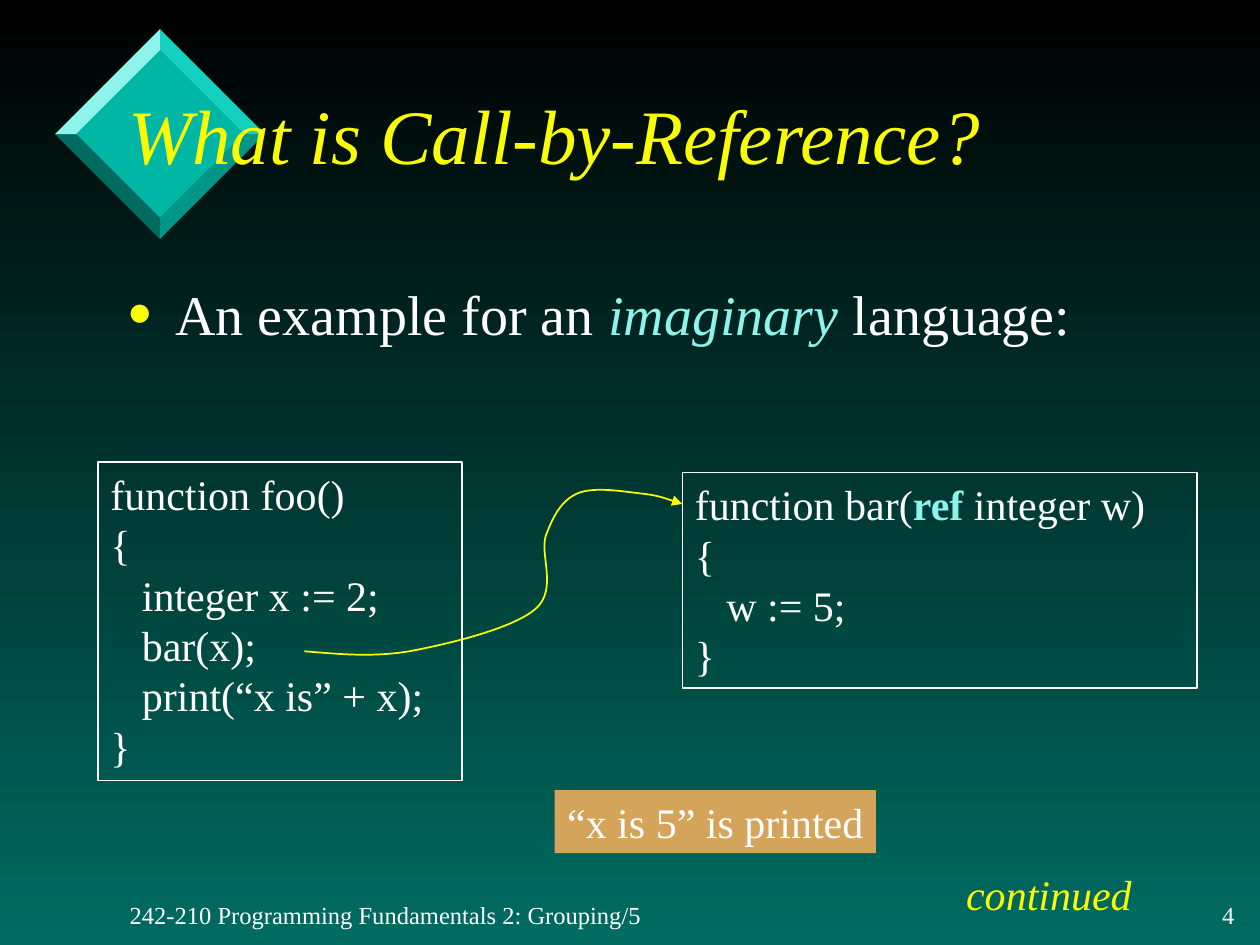
from pptx import Presentation
from pptx.dml.color import RGBColor
from pptx.enum.shapes import MSO_SHAPE
from pptx.enum.text import MSO_ANCHOR, MSO_AUTO_SIZE, PP_ALIGN
from pptx.oxml.ns import qn
from pptx.util import Pt
from lxml import etree

RECTANGLE = MSO_SHAPE.RECTANGLE
TOP, MIDDLE = MSO_ANCHOR.TOP, MSO_ANCHOR.MIDDLE
LEFT, RIGHT = PP_ALIGN.LEFT, PP_ALIGN.RIGHT
NO_AUTOFIT = MSO_AUTO_SIZE.NONE

BLACK = RGBColor(0x00, 0x00, 0x00)
WHITE = RGBColor(0xFF, 0xFF, 0xFF)
YELLOW = RGBColor(0xFA, 0xFD, 0x00)
AQUA = RGBColor(0x8C, 0xF4, 0xEA)
TURQUOISE = RGBColor(0x14, 0xD1, 0xBE)
TEAL = RGBColor(0x00, 0xB7, 0xA5)
SEA = RGBColor(0x00, 0x96, 0x88)
DEEP = RGBColor(0x00, 0x6B, 0x61)
SAND = RGBColor(0xD4, 0xA4, 0x5A)


def add_span(para, text, size=24, color=WHITE, bold=False, italic=False):
    span = para.add_run()
    span.text = text
    font = span.font
    font.name, font.size, font.bold, font.italic = "Times New Roman", Pt(size), bold, italic
    font.color.rgb = color


def set_frame(shape, anchor=TOP, wrap=True):
    """Fix the text frame's size behaviour and return its first paragraph, left aligned."""
    frame = shape.text_frame
    frame.auto_size = NO_AUTOFIT
    frame.vertical_anchor = anchor
    frame.word_wrap = wrap
    para = frame.paragraphs[0]
    para.alignment = LEFT
    return para


deck = Presentation()
deck.slide_width, deck.slide_height = Pt(720), Pt(540)
page = deck.slides.add_slide(deck.slide_layouts[1])
shapes = page.shapes

backdrop = page.background.fill
backdrop.gradient()
backdrop.gradient_angle = 270
for stop, color in zip(backdrop.gradient_stops, (BLACK, DEEP)):
    stop.color.rgb = color

# Bevelled diamond: a face and four edges between two concentric diamonds
center_x, center_y = 91.4, 76.6
directions = [(0, -1), (1, 0), (0, 1), (-1, 0)]
inner, outer = [
    [(center_x + dx * radius, center_y + dy * radius) for dx, dy in directions]
    for radius in (48, 60)
]
facets = [(inner, TEAL)]
for side, color in enumerate((TURQUOISE, SEA, DEEP, AQUA)):
    after = (side + 1) % 4
    facets.append(([inner[side], outer[side], outer[after], inner[after]], color))
for corners, color in facets:
    points = [(Pt(x), Pt(y)) for x, y in corners]
    builder = shapes.build_freeform(*points[0], scale=1.0)
    builder.add_line_segments(points[1:], close=True)
    facet = builder.convert_to_shape()
    facet.shadow.inherit = False
    facet.fill.solid()
    facet.fill.fore_color.rgb = color
    facet.line.fill.background()

# Title and bullet, moved in front of the diamond
title, body = shapes.title, page.placeholders[1]
for placeholder, place in ((title, (66, 33, 613, 87)), (body, (66, 156, 612, 54))):
    placeholder.left, placeholder.top, placeholder.width, placeholder.height = map(Pt, place)
    shapes._spTree.append(placeholder._element)
add_span(set_frame(title, MIDDLE), "What is Call-by-Reference?", size=44, color=YELLOW, italic=True)

para = set_frame(body)
add_span(para, "An example for an ", size=32)
add_span(para, "imaginary", size=32, color=AQUA, italic=True)
add_span(para, " language:", size=32)
properties = para._p.get_or_add_pPr()
properties.set("marL", str(Pt(27)))
properties.set("indent", str(Pt(-27)))
bullet_color = etree.SubElement(properties, qn("a:buClr"))
etree.SubElement(bullet_color, qn("a:srgbClr"), val=str(YELLOW))
etree.SubElement(properties, qn("a:buSzPct"), val="120000")
etree.SubElement(properties, qn("a:buChar"), char="•")

# Code boxes: each line is an indent level and its spans
code_boxes = [
    ((56, 264, 208, 182), [
        (0, [("function foo()", {})]),
        (0, [("{", {})]),
        (1, [("integer x := 2;", {})]),
        (1, [("bar(x);", {})]),
        (1, [("print(“x is” + x);", {})]),
        (0, [("}", {})]),
    ]),
    ((390, 270, 294, 123), [
        (0, [("function bar(", {}), ("ref", {"color": AQUA, "bold": True}), (" integer w)", {})]),
        (0, [("{", {})]),
        (1, [("w := 5;", {})]),
        (0, [("}", {})]),
    ]),
]
for place, lines in code_boxes:
    box = shapes.add_shape(RECTANGLE, *map(Pt, place))
    box.shadow.inherit = False
    box.fill.background()
    box.line.color.rgb = WHITE
    box.line.width = Pt(1)
    para = set_frame(box)
    for number, (level, spans) in enumerate(lines):
        if number:
            para = box.text_frame.add_paragraph()
            para.alignment = LEFT
        para._p.get_or_add_pPr().set("marL", str(Pt(18 * level)))
        for text, look in spans:
            add_span(para, text, **look)

result = shapes.add_shape(RECTANGLE, Pt(317), Pt(451.5), Pt(183.5), Pt(36))
result.shadow.inherit = False
result.fill.solid()
result.fill.fore_color.rgb = SAND
result.line.fill.background()
add_span(set_frame(result, wrap=False), "“x is 5” is printed")

labels = [
    ("continued", (545, 493, 109, 36), TOP, LEFT, {"color": YELLOW, "italic": True}),
    ("242-210 Programming Fundamentals 2: Grouping/5", (67, 510.5, 309, 24), MIDDLE, LEFT, {"size": 14}),
    ("4", (682.5, 510.5, 30, 24), MIDDLE, RIGHT, {"size": 14}),
]
for text, place, anchor, alignment, look in labels:
    label = shapes.add_textbox(*map(Pt, place))
    para = set_frame(label, anchor, wrap=False)
    para.alignment = alignment
    add_span(para, text, **look)

# Curved call arrow: a start, then three control points for each Bézier piece
call_points = [
    (174, 372.2),
    (193, 373.7), (211.7, 375.8), (234, 372.2),
    (256.3, 368), (293, 359.3), (306, 348),
    (319, 337), (308.2, 316.8), (312, 306),
    (316, 295.2), (321, 285.8), (330, 282),
    (339, 278), (355.7, 280.8), (366, 282),
    (375.8, 283), (382.9, 285.8), (390, 288),
]
points = [(Pt(x), Pt(y)) for x, y in call_points]
builder = shapes.build_freeform(*points[0], scale=1.0)
builder.add_line_segments(points[1:], close=False)
call_arrow = builder.convert_to_shape()
call_arrow.shadow.inherit = False
call_arrow.fill.background()
call_arrow.line.color.rgb = YELLOW
call_arrow.line.width = Pt(1)
etree.SubElement(call_arrow.line._get_or_add_ln(), qn("a:tailEnd"), type="triangle")
segments = list(call_arrow._element.iter(qn("a:lnTo")))
outline = segments[0].getparent()
for first in range(0, len(segments), 3):
    curve = etree.SubElement(outline, qn("a:cubicBezTo"))
    for segment in segments[first:first + 3]:
        curve.append(segment[0])
        outline.remove(segment)

deck.save("out.pptx")
